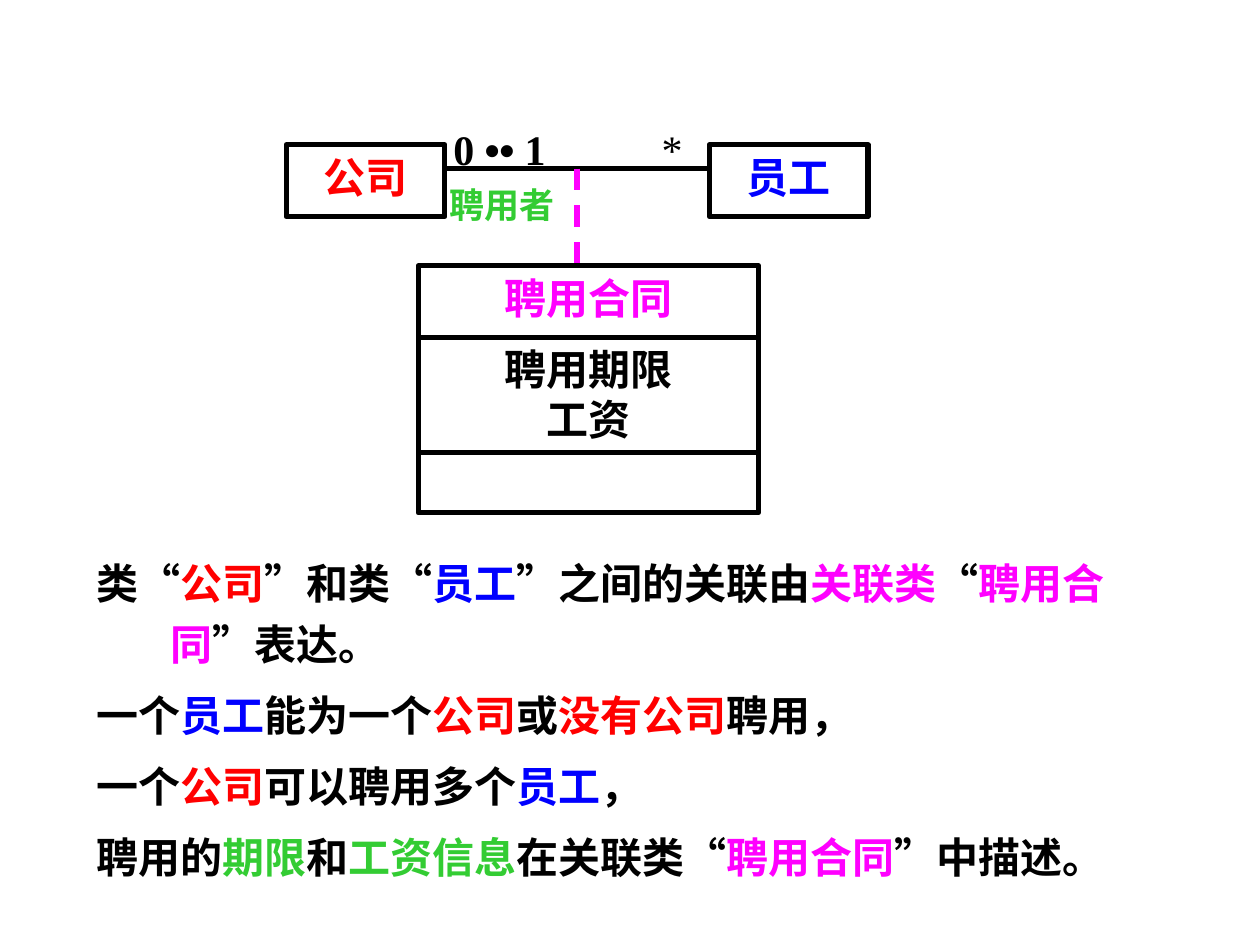
from itertools import groupby

from lxml import etree
from pptx import Presentation
from pptx import util as u
from pptx.dml.color import RGBColor
from pptx.enum import dml, lang, shapes, text
from pptx.oxml import ns

BLACK = RGBColor(0, 0, 0)
WHITE = RGBColor(255, 255, 255)
RED = RGBColor(255, 0, 0)
BLUE = RGBColor(0, 0, 255)
MAGENTA = RGBColor(255, 0, 255)
GREEN = RGBColor(0x33, 0xCC, 0x33)

BODY_FONT, MARK_FONT = "Times New Roman", "Arial"
MARKS = "“”•"
LINE_WIDTH = u.Pt(3)

COMPANY = [[("公司", RED)]]
EMPLOYEE = [[("员工", BLUE)]]
CONTRACT = [
    [("聘用合同", MAGENTA)],
    [("聘用期限", BLACK)],
    [("工资", BLACK)],
]
ROLE = [[("聘用者", GREEN)]]
MULTIPLICITY = [[("0 •• 1", BLACK), ("\t*", BLACK, False)]]
EXPLANATION = [
    [("类“", BLACK), ("公司", RED), ("”和类“", BLACK), ("员工", BLUE),
     ("”之间的关联由", BLACK), ("关联类", MAGENTA), ("“", BLACK),
     ("聘用合同", MAGENTA), ("”表达。", BLACK)],
    [("一个", BLACK), ("员工", BLUE), ("能为一个", BLACK), ("公司", RED),
     ("或", BLACK), ("没有公司", RED), ("聘用，", BLACK)],
    [("一个", BLACK), ("公司", RED), ("可以聘用多个", BLACK),
     ("员工", BLUE), ("，", BLACK)],
    [("聘用的", BLACK), ("期限", GREEN), ("和", BLACK), ("工资信息", GREEN),
     ("在关联类“", BLACK), ("聘用合同", MAGENTA), ("”中描述。", BLACK)],
]

CLASS_TOP, CLASS_WIDTH, CLASS_HEIGHT = 2.92, 3.2, 1.45
COMPANY_LEFT, EMPLOYEE_LEFT = 5.77, 14.3
CONTRACT_LEFT, CONTRACT_TOP = 8.43, 5.36
CONTRACT_WIDTH, CONTRACT_HEIGHT = 6.86, 4.98
CONTRACT_RIGHT = CONTRACT_LEFT + CONTRACT_WIDTH
DIVIDERS = (6.81, 9.12)
LINK_Y, LINK_X = 3.4, 11.63


def add_tab(paragraph, position):
    tabs = etree.SubElement(paragraph._p.get_or_add_pPr(), ns.qn("a:tabLst"))
    etree.SubElement(tabs, ns.qn("a:tab"), pos=str(u.Cm(position)), algn="l")


def write(shape, paragraphs, *, size=24, align=text.PP_ALIGN.LEFT,
          anchor=text.MSO_ANCHOR.TOP, wrap=True, spacing=None,
          before=(), hanging=0, tab=None):
    frame = shape.text_frame
    frame.word_wrap = wrap
    frame.vertical_anchor = anchor
    for index, runs in enumerate(paragraphs):
        paragraph = frame.add_paragraph() if index else frame.paragraphs[0]
        paragraph.alignment = align
        if spacing:
            paragraph.line_spacing = spacing
        if index in before:
            paragraph.space_before = u.Pt(before[index])
        if hanging:
            properties = paragraph._p.get_or_add_pPr()
            properties.set("marL", str(u.Cm(hanging)))
            properties.set("indent", str(-u.Cm(hanging)))
        if tab:
            add_tab(paragraph, tab)
        for content, color, *bold in runs:
            for is_mark, letters in groupby(content, lambda c: c in MARKS):
                run = paragraph.add_run()
                run.text = "".join(letters)
                font = run.font
                font.name = MARK_FONT if is_mark else BODY_FONT
                font.size = u.Pt(size)
                font.bold = bold[0] if bold else True
                font.color.rgb = color
                font.language_id = lang.MSO_LANGUAGE_ID.SIMPLIFIED_CHINESE


def add_label(slide, left, top, width, height, paragraphs, **style):
    box = slide.shapes.add_textbox(*map(u.Cm, (left, top, width, height)))
    write(box, paragraphs, **style)


def add_class(slide, left, top, width, height, paragraphs, **style):
    shape = slide.shapes.add_shape(
        shapes.MSO_SHAPE.RECTANGLE, *map(u.Cm, (left, top, width, height)))
    shape.shadow.inherit = False
    shape.fill.solid()
    shape.fill.fore_color.rgb = WHITE
    shape.line.color.rgb = BLACK
    shape.line.width = LINE_WIDTH
    write(shape, paragraphs, align=text.PP_ALIGN.CENTER, **style)


def add_line(slide, x1, y1, x2, y2, color=BLACK, dash=None):
    line = slide.shapes.add_connector(
        shapes.MSO_CONNECTOR.STRAIGHT, *map(u.Cm, (x1, y1, x2, y2)))
    line.line.color.rgb = color
    line.line.width = LINE_WIDTH
    if dash:
        line.line.dash_style = dash
    etree.SubElement(line._element.spPr, ns.qn("a:effectLst"))


def main():
    presentation = Presentation()
    presentation.slide_width = u.Cm(25.4)
    presentation.slide_height = u.Cm(19.05)
    slide = presentation.slides.add_slide(presentation.slide_layouts[6])

    add_label(slide, 1.7, 10.92, 22.02, 7.26, EXPLANATION, spacing=1.2,
              before={1: 6, 2: 6, 3: 6}, hanging=1.48)

    add_line(slide, COMPANY_LEFT + CLASS_WIDTH, LINK_Y, EMPLOYEE_LEFT, LINK_Y)
    add_class(slide, CONTRACT_LEFT, CONTRACT_TOP, CONTRACT_WIDTH,
              CONTRACT_HEIGHT, CONTRACT, before={1: 12})
    for y in DIVIDERS:
        add_line(slide, CONTRACT_LEFT, y, CONTRACT_RIGHT, y)
    add_line(slide, LINK_X, LINK_Y, LINK_X, CONTRACT_TOP, MAGENTA,
             dml.MSO_LINE.DASH)

    for left, name in ((COMPANY_LEFT, COMPANY), (EMPLOYEE_LEFT, EMPLOYEE)):
        add_class(slide, left, CLASS_TOP, CLASS_WIDTH, CLASS_HEIGHT, name)

    add_label(slide, 8.31, 3.33, 3.61, 1.6, ROLE, size=20, wrap=False,
              align=text.PP_ALIGN.CENTER, anchor=text.MSO_ANCHOR.MIDDLE)
    add_label(slide, 8.89, 2.51, 10.8, 0.99, MULTIPLICITY, tab=4.2,
              anchor=text.MSO_ANCHOR.MIDDLE)

    presentation.save("out.pptx")


if __name__ == "__main__":
    main()
